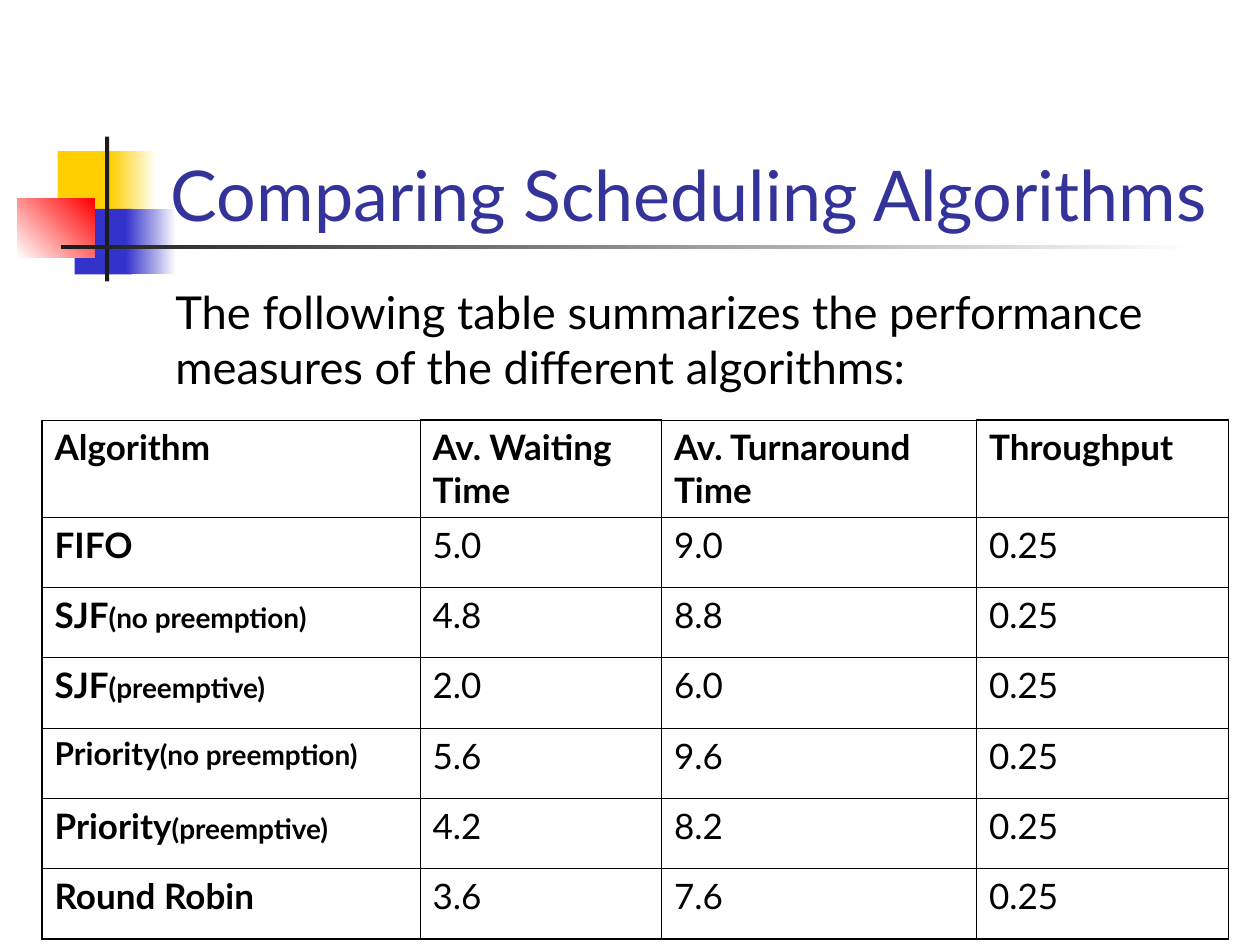
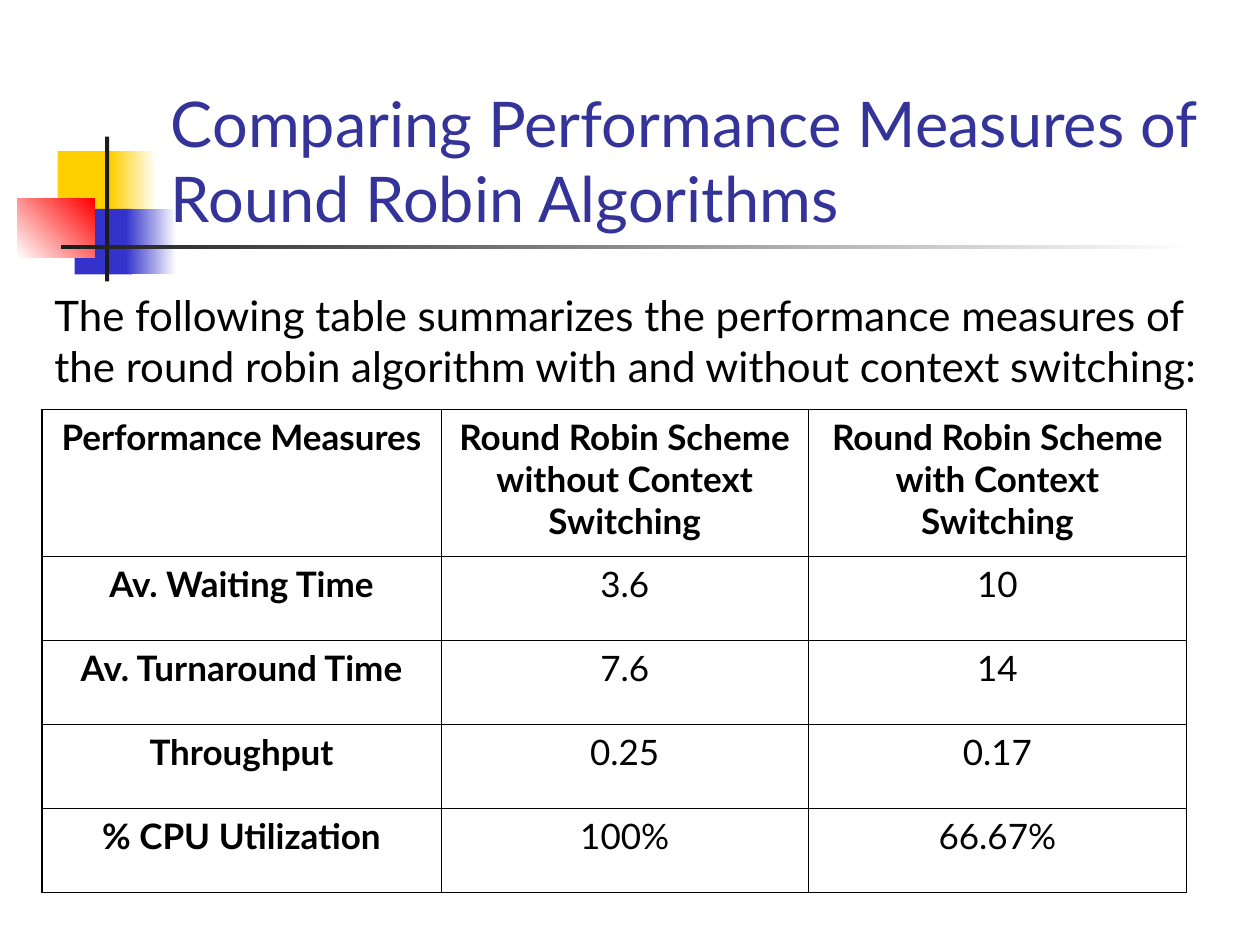
import dataclasses

import lxml.etree
import pptx
import pptx.dml.color
import pptx.enum.shapes
import pptx.enum.text
import pptx.oxml.ns
import pptx.util


@dataclasses.dataclass(frozen=True)
class Theme:
    font: str = "Lato"
    title: str = "333399"
    text: str = "000000"
    yellow: str = "FFCF01"
    blue: str = "3333CC"
    red: str = "FF0000"
    bar: str = "1C1C1C"
    paper: str = "FFFFFF"
    cell_size: float = 20
    note_size: float = 16
    thin: float = 0.45
    thick: float = 1.08


theme = Theme()
RGB = pptx.dml.color.RGBColor.from_string
ALIGN = pptx.enum.text.PP_ALIGN

# The slide is a grid of 120 columns and 90 rows
prs = pptx.Presentation()
prs.slide_width = pptx.util.Inches(10)
prs.slide_height = pptx.util.Inches(7.5)
unit = prs.slide_width / 120

# Title ornament: left, top, width, height, colours, gradient angle
ornament = [
    (5.5, 14.4, 5.8, 6.24, [theme.yellow], 0),
    (10.5, 14.4, 4.4, 6.24, [theme.yellow, theme.paper], 0),
    (7.1, 19.9, 5.5, 6.24, [theme.blue], 0),
    (12, 19.9, 4.8, 6.24, [theme.blue, theme.paper], 0),
    (1.65, 18.95, 7.4, 5.6, [theme.paper, theme.red], 45),
    (10, 13, 0.4, 13.8, [theme.bar], 0),
    (5.8, 23.35, 108, 0.4, [theme.bar, theme.paper], 0),
]

# Content of the two slides; the part of a row label in brackets is set smaller
pages = [
    dict(
        title="Comparing Scheduling Algorithms", title_size=40,
        intro="The following table summarizes the performance measures of the different algorithms:",
        intro_size=25.9, intro_box=(11, 26.5, 109, 13.5), intro_indent=4.5,
        table_at=(4, 40), cols=[36, 23, 30, 24], head_height=9.25, row_height=6.7,
        align=ALIGN.LEFT, label_sizes={"Priority(no preemption)": 18},
        rows=[
            ["Algorithm", "Av. Waiting Time", "Av. Turnaround Time", "Throughput"],
            ["FIFO", "5.0", "9.0", "0.25"],
            ["SJF(no preemption)", "4.8", "8.8", "0.25"],
            ["SJF(preemptive)", "2.0", "6.0", "0.25"],
            ["Priority(no preemption)", "5.6", "9.6", "0.25"],
            ["Priority(preemptive)", "4.2", "8.2", "0.25"],
            ["Round Robin", "3.6", "7.6", "0.25"],
        ],
    ),
    dict(
        title="Comparing Performance Measures of Round Robin Algorithms", title_size=36,
        intro="The following table summarizes the performance measures of the round robin "
              "algorithm with and without context switching:",
        intro_size=24, intro_box=(4, 27, 116, 15.6), intro_indent=0,
        table_at=(4, 39), cols=[38, 35, 36], head_height=14, row_height=8,
        align=ALIGN.CENTER, label_sizes={},
        rows=[
            ["Performance Measures", "Round Robin Scheme without Context Switching",
             "Round Robin Scheme with Context Switching"],
            ["Av. Waiting Time", "3.6", "10"],
            ["Av. Turnaround Time", "7.6", "14"],
            ["Throughput", "0.25", "0.17"],
            ["% CPU Utilization", "100%", "66.67%"],
        ],
    ),
]


def grid(*lengths):
    return [pptx.util.Emu(round(n * unit)) for n in lengths]


def style(r, size, color=theme.text, bold=False):
    r.font.name = theme.font
    r.font.size = pptx.util.Pt(size)
    r.font.color.rgb = RGB(color)
    r.font.bold = bold


for page in pages:
    slide = prs.slides.add_slide(prs.slide_layouts[6])

    # Ornament
    for left, top, width, height, colors, angle in ornament:
        sp = slide.shapes.add_shape(pptx.enum.shapes.MSO_SHAPE.RECTANGLE,
                                    *grid(left, top, width, height))
        sp.shadow.inherit = False
        sp.line.fill.background()
        if len(colors) == 1:
            sp.fill.solid()
            sp.fill.fore_color.rgb = RGB(colors[0])
        else:
            sp.fill.gradient()
            sp.fill.gradient_angle = angle
            for stop, color in zip(sp.fill.gradient_stops, colors):
                stop.color.rgb = RGB(color)

    # Title and introduction
    for text, box, size, color, indent, anchor in [
        (page["title"], (15.1, 8, 102.3, 15), page["title_size"], theme.title, 0, "BOTTOM"),
        (page["intro"], page["intro_box"], page["intro_size"], theme.text,
         page["intro_indent"], "TOP"),
    ]:
        tf = slide.shapes.add_textbox(*grid(*box)).text_frame
        tf.word_wrap = True
        tf.vertical_anchor = pptx.enum.text.MSO_ANCHOR[anchor]
        tf.margin_left = grid(1.2 + indent)[0]
        tf.text = text
        style(tf.paragraphs[0].runs[0], size, color)

    # Table
    rows, cols = page["rows"], page["cols"]
    heights = [page["head_height"]] + [page["row_height"]] * (len(rows) - 1)
    table = slide.shapes.add_table(
        len(rows), len(cols), *grid(*page["table_at"], sum(cols), sum(heights))).table
    table.first_row = table.horz_banding = False
    for column, width in zip(table.columns, grid(*cols)):
        column.width = width
    for row, height in zip(table.rows, grid(*heights)):
        row.height = height

    for i, values in enumerate(rows):
        for j, value in enumerate(values):
            cell = table.cell(i, j)
            p = cell.text_frame.paragraphs[0]
            label, bracket, note = value.partition("(")
            p.text = label
            p.alignment = page["align"]
            bold = i == 0 or j == 0
            style(p.runs[0], page["label_sizes"].get(value, theme.cell_size), bold=bold)
            if bracket:
                r = p.add_run()
                r.text = bracket + note
                style(r, theme.note_size, bold=bold)

            # Cell borders: heavier on the outside
            heavy = {
                "lnL": j == 0,
                "lnR": j == len(cols) - 1,
                "lnT": i == 0 and j % 2 == 1,
                "lnB": i == len(rows) - 1,
            }
            tc_pr = cell._tc.get_or_add_tcPr()
            for side, is_heavy in heavy.items():
                ln = lxml.etree.SubElement(tc_pr, pptx.oxml.ns.qn("a:" + side))
                ln.set("w", str(pptx.util.Pt(theme.thick if is_heavy else theme.thin)))
                fill = lxml.etree.SubElement(ln, pptx.oxml.ns.qn("a:solidFill"))
                lxml.etree.SubElement(fill, pptx.oxml.ns.qn("a:srgbClr")).set("val", theme.text)
            cell.fill.background()

prs.save("out.pptx")
